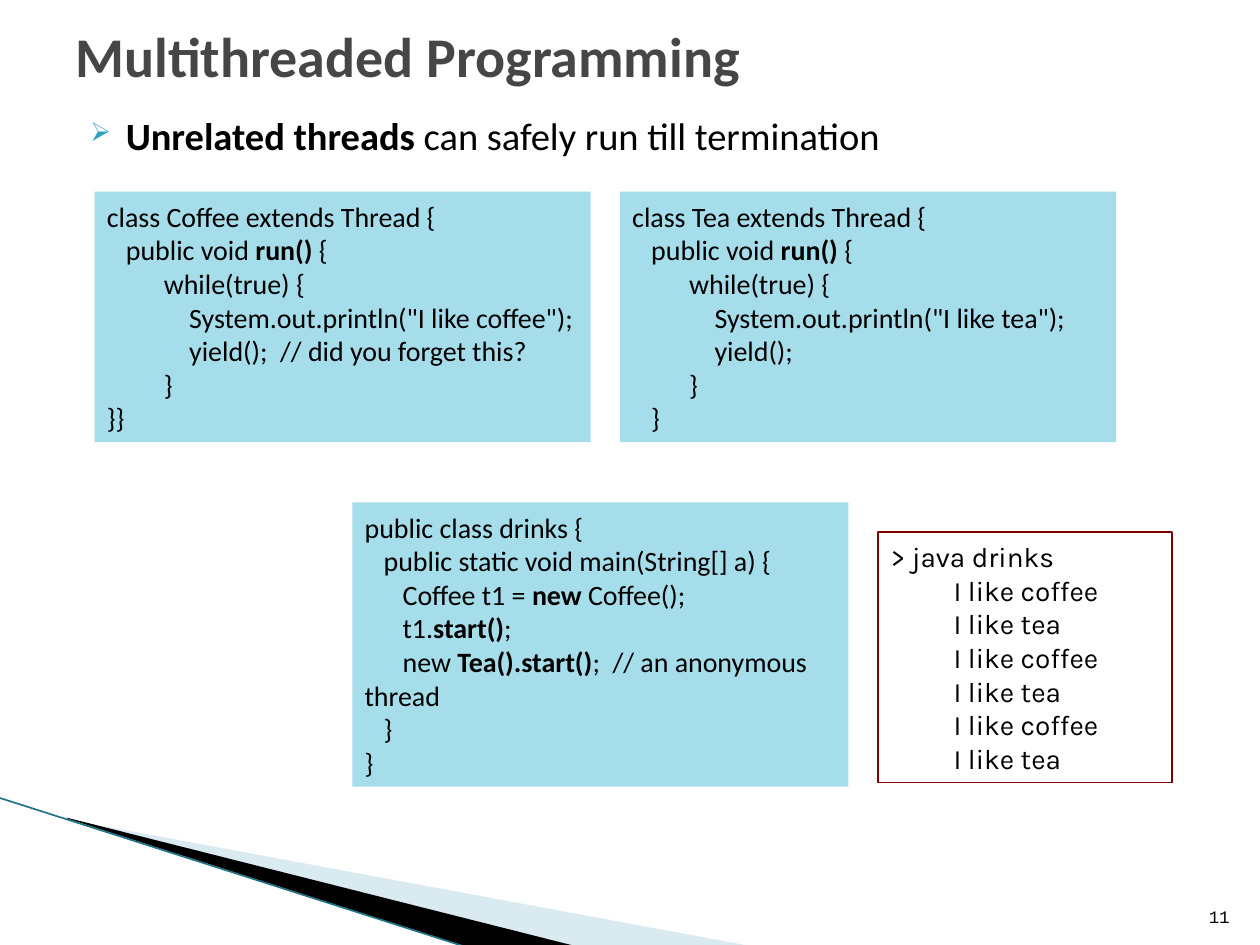
from dataclasses import dataclass

from lxml import etree
from pptx import Presentation
from pptx.dml.color import RGBColor
from pptx.enum.shapes import MSO_CONNECTOR, MSO_SHAPE
from pptx.enum.text import MSO_ANCHOR, MSO_AUTO_SIZE, PP_ALIGN
from pptx.oxml.ns import qn
from pptx.util import Pt

RECT = MSO_SHAPE.RECTANGLE
STRAIGHT = MSO_CONNECTOR.STRAIGHT
TOP, MIDDLE, BOTTOM = MSO_ANCHOR.TOP, MSO_ANCHOR.MIDDLE, MSO_ANCHOR.BOTTOM
LEFT, RIGHT = PP_ALIGN.LEFT, PP_ALIGN.RIGHT
GROW = MSO_AUTO_SIZE.SHAPE_TO_FIT_TEXT


@dataclass(frozen=True)
class Theme:
    black: RGBColor = RGBColor.from_string("000000")
    title: RGBColor = RGBColor.from_string("464646")
    bullet: str = "2DA2BF"
    code_fill: RGBColor = RGBColor.from_string("A6DDEA")
    output_line: RGBColor = RGBColor.from_string("800000")
    wedge: RGBColor = RGBColor.from_string("A0CBDC")
    edge: RGBColor = RGBColor.from_string("1F7587")
    font: str = "Calibri"
    output_font: str = "Karla"
    number_font: str = "Courier New"
    title_size: int = 32
    body_size: int = 22
    code_size: int = 16
    number_size: int = 10


T = Theme()
SPACE = 3.62  # width of one code space, in points


def write(sp, lines, size, font=T.font, color=T.black, anchor=MIDDLE, align=LEFT):
    """Write (left margin, first-line indent, text) lines; *stars* mark bold."""
    tf = sp.text_frame
    tf.word_wrap = True
    tf.vertical_anchor = anchor
    for i, (margin, indent, text) in enumerate(lines):
        p = tf.paragraphs[0] if i == 0 else tf.add_paragraph()
        p.alignment = align
        pPr = p._p.get_or_add_pPr()
        pPr.set("marL", str(Pt(margin)))
        pPr.set("indent", str(Pt(indent)))
        for j, part in enumerate(text.split("*")):
            if part:
                r = p.add_run()
                r.text = part
                r.font.color.rgb = color
                style = {"size": Pt(size), "name": font, "bold": j % 2 == 1}
                for name, value in style.items():
                    setattr(r.font, name, value)
    return tf


def add_box(s, left, top, width, height):
    sp = s.shapes.add_shape(RECT, Pt(left), Pt(top), Pt(width), Pt(height))
    sp.shadow.inherit = False
    sp.fill.background()
    sp.line.fill.background()
    return sp


prs = Presentation()
prs.slide_width, prs.slide_height = Pt(720), Pt(540)
s = prs.slides.add_slide(prs.slide_layouts[6])

# Corner decoration
wedges = [
    (T.wedge, [(39.6, 468.5), (428.4, 540.5), (328.5, 540.5), (39.6, 468)]),
    (T.black, [(38.2, 467.3), (329, 540.7), (267.8, 541.4), (38.9, 468)]),
]
for color, points in wedges:
    start, *rest = [(Pt(x), Pt(y)) for x, y in points]
    builder = s.shapes.build_freeform(*start)
    builder.add_line_segments(rest)
    sp = builder.convert_to_shape()
    sp.shadow.inherit = False
    sp.fill.solid()
    sp.fill.fore_color.rgb = color
    sp.line.fill.background()
    if color == T.wedge:
        rgb = sp.fill._xPr.find(".//" + qn("a:srgbClr"))
        etree.SubElement(rgb, qn("a:alpha"), val="40000")

edge = s.shapes.add_connector(STRAIGHT, Pt(-0.7), Pt(455.8), Pt(267.1), Pt(541.4))
edge.line.color.rgb = T.edge
edge.line.width = Pt(0.95)
etree.SubElement(edge._element.spPr, qn("a:effectLst"))

# Heading, statement and slide number
body = s.shapes.add_textbox(Pt(36), Pt(60.5), Pt(669.6), Pt(425.5))
statement = "*Unrelated threads *can safely run till termination"
tf = write(body, [(28.8, -20.2, statement)], T.body_size, anchor=TOP)
tf.paragraphs[0].space_before = Pt(4)
pPr = tf.paragraphs[0]._p.get_or_add_pPr()
bullet_color = etree.SubElement(pPr, qn("a:buClr"))
etree.SubElement(bullet_color, qn("a:srgbClr"), val=T.bullet)
etree.SubElement(pPr, qn("a:buSzPct"), val="68000")
etree.SubElement(pPr, qn("a:buChar"), char="➢")

title = s.shapes.add_textbox(Pt(36), Pt(3.6), Pt(648), Pt(55.4))
write(title, [(0, 0, "*Multithreaded Programming*")], T.title_size, color=T.title)

number = s.shapes.add_textbox(Pt(681), Pt(504.7), Pt(28.8), Pt(28.8))
write(number, [(0, 0, "11")], T.number_size, T.number_font, anchor=BOTTOM, align=RIGHT)

# Code boxes: left, top, height, then (spaces of indent, text)
listings = [
    (54, 109.5, 143.2, [
        (0, "class Coffee extends Thread {"),
        (3, "public void *run()* {"),
        (9, "while(true) {"),
        (13, 'System.out.println("I like coffee");'),
        (13, "yield();  // did you forget this?"),
        (9, "}"),
        (0, "}}"),
    ]),
    (354.2, 109.5, 143.2, [
        (0, "class Tea extends Thread {"),
        (3, "public void *run()* {"),
        (9, "while(true) {"),
        (13, 'System.out.println("I like tea");'),
        (13, "yield();"),
        (9, "}"),
        (3, "}"),
    ]),
    (201.3, 287, 162.5, [
        (0, "public class drinks {"),
        (3, "public static void main(String[] a) {"),
        (6, "Coffee t1 = *new* Coffee();"),
        (6, "t1.*start()*;"),
        (6, "new *Tea().start()*;  // an anonymous thread"),
        (3, "}"),
        (0, "}"),
    ]),
]
for left, top, height, code in listings:
    sp = add_box(s, left, top, 283.5, height)
    sp.fill.solid()
    sp.fill.fore_color.rgb = T.code_fill
    lines = [(0, spaces * SPACE, text) for spaces, text in code]
    write(sp, lines, T.code_size).auto_size = GROW

# Program output
output = add_box(s, 501.8, 304, 168, 143.2)
output.line.color.rgb = T.output_line
output.line.width = Pt(1)
drinks = ["coffee", "tea"] * 3
lines = [(0, 0, "> java drinks")] + [(36, 0, f"I like {drink}") for drink in drinks]
write(output, lines, T.code_size, T.output_font).auto_size = GROW

prs.save("out.pptx")
